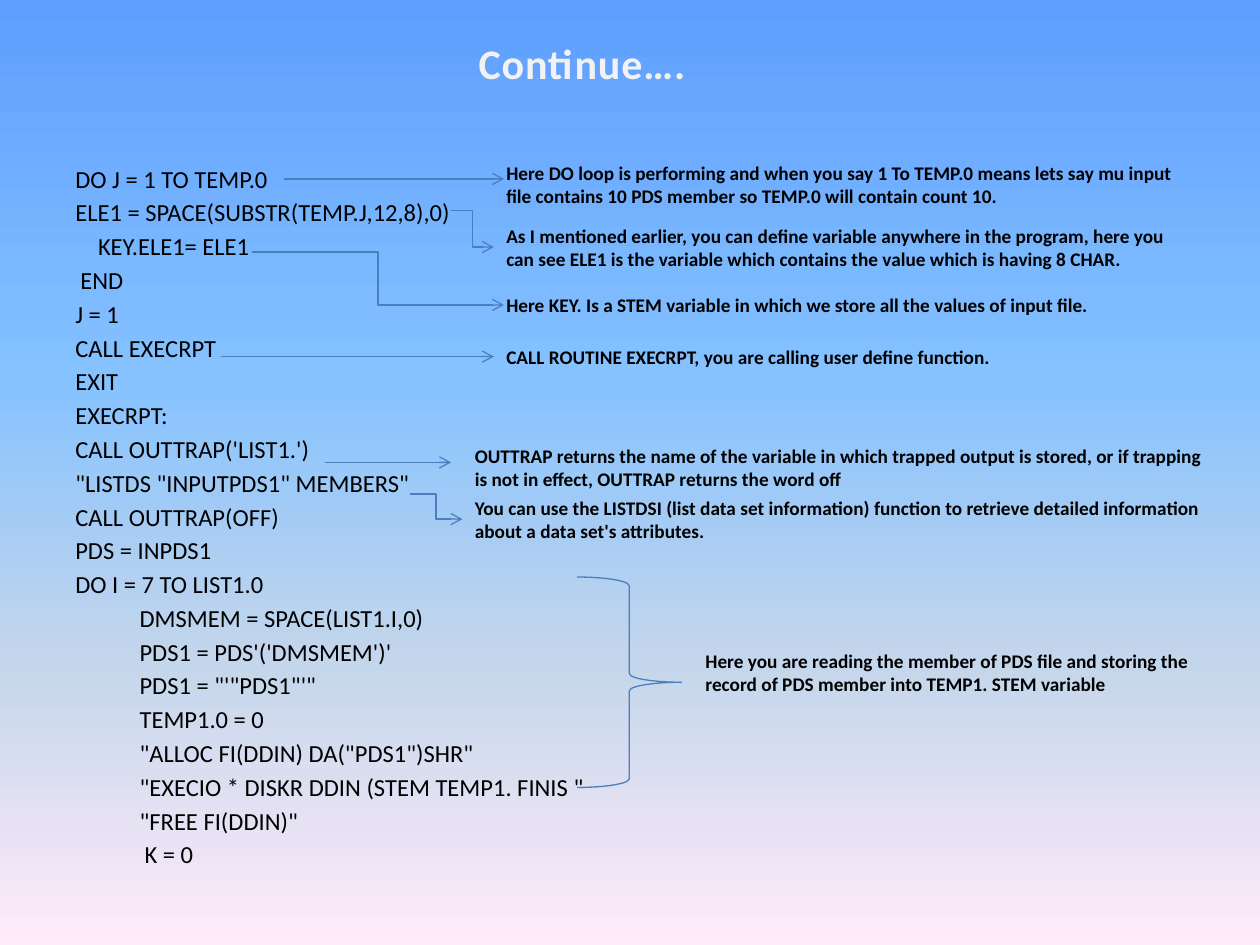
from lxml import etree
from pptx import Presentation
from pptx.dml.color import RGBColor
from pptx.enum.shapes import MSO_CONNECTOR, MSO_SHAPE
from pptx.enum.text import MSO_ANCHOR, PP_ALIGN
from pptx.oxml.ns import qn
from pptx.util import Inches, Pt

STRAIGHT, ELBOW = MSO_CONNECTOR.STRAIGHT, MSO_CONNECTOR.ELBOW
RIGHT_BRACE = MSO_SHAPE.RIGHT_BRACE
TOP, MIDDLE = MSO_ANCHOR.TOP, MSO_ANCHOR.MIDDLE
LEFT, CENTER = PP_ALIGN.LEFT, PP_ALIGN.CENTER

FONT = "Calibri"
BLACK = RGBColor(0x00, 0x00, 0x00)
TITLE_COLOR = RGBColor(0xF2, 0xF2, 0xF2)
LINE_COLOR = RGBColor(0x4B, 0x7E, 0xBC)
BACKGROUND_STOPS = [
    (0, RGBColor(0x5E, 0x9E, 0xFF)),
    (40, RGBColor(0x85, 0xC2, 0xFF)),
    (70, RGBColor(0xC4, 0xD6, 0xEB)),
    (100, RGBColor(0xFF, 0xEB, 0xFA)),
]

# Code lines with their left indent in inches
BODY_INDENT = 0.51
CODE = [
    ("DO J = 1 TO TEMP.0", 0),
    ("ELE1 = SPACE(SUBSTR(TEMP.J,12,8),0)", 0),
    ("KEY.ELE1= ELE1", 0.18),
    ("END", 0.04),
    ("J = 1", 0),
    ("CALL EXECRPT", 0),
    ("EXIT", 0),
    ("EXECRPT:", 0),
    ("CALL OUTTRAP('LIST1.')", 0),
    ('"LISTDS "INPUTPDS1" MEMBERS"', 0),
    ("CALL OUTTRAP(OFF)", 0),
    ("PDS = INPDS1", 0),
    ("DO I = 7 TO LIST1.0", 0),
    ("DMSMEM = SPACE(LIST1.I,0)", BODY_INDENT),
    ("PDS1 = PDS'('DMSMEM')'", BODY_INDENT),
    ("PDS1 = \"'\"PDS1\"'\"", BODY_INDENT),
    ("TEMP1.0 = 0", BODY_INDENT),
    ('"ALLOC FI(DDIN) DA("PDS1")SHR"', BODY_INDENT),
    ('"EXECIO * DISKR DDIN (STEM TEMP1. FINIS "', BODY_INDENT),
    ('"FREE FI(DDIN)"', BODY_INDENT),
    ("K = 0", BODY_INDENT + 0.04),
]

# Explanations: left, top, width, height, paragraphs
NOTES = [
    (3.92, 1.17, 5.67, 0.58, [
        "Here DO loop is performing and when you say 1 To TEMP.0 means lets say "
        "mu input file contains 10 PDS member so TEMP.0 will contain count 10."]),
    (3.92, 1.67, 5.67, 0.58, [
        "As I mentioned earlier, you can define variable anywhere in the program, "
        "here you can see ELE1 is the variable which contains the value which is "
        "having 8 CHAR."]),
    (3.92, 2.17, 5.67, 0.5, [
        "Here KEY. Is a STEM variable in which we store all the values of input file."]),
    (3.92, 2.58, 5.67, 0.5, [
        "CALL ROUTINE EXECRPT, you are calling user define function."]),
    (3.67, 3.42, 6.25, 0.58, [
        "OUTTRAP returns the name of the variable in which trapped output is "
        "stored, or if trapping",
        "is not in effect, OUTTRAP returns the word off"]),
    (3.67, 3.83, 6.25, 0.58, [
        "You can use the LISTDSI (list data set information) function to retrieve "
        "detailed information about a data set's attributes."]),
    (5.5, 4.67, 4.08, 1.33, [
        "Here you are reading the member of PDS file and storing the record of "
        "PDS member into TEMP1. STEM variable"]),
]

# Arrows from code to explanation: kind, start x, start y, end x, end y
ARROWS = [
    (STRAIGHT, 2.25, 1.42, 4, 1.42),
    (ELBOW, 3.58, 1.67, 3.92, 1.96),
    (ELBOW, 2, 2, 4, 2.42),
    (STRAIGHT, 1.75, 2.83, 3.92, 2.83),
    (STRAIGHT, 2.58, 3.67, 3.58, 3.67),
    (ELBOW, 3.25, 3.92, 3.67, 4.12),
]


def set_background(slide):
    fill = slide.background.fill
    fill.gradient()
    fill.gradient_angle = 270
    stop_list = slide.element.find(".//" + qn("a:gsLst"))
    for stop in list(stop_list):
        stop_list.remove(stop)
    for position, color in BACKGROUND_STOPS:
        stop = etree.SubElement(stop_list, qn("a:gs"), pos=str(position * 1000))
        etree.SubElement(stop, qn("a:srgbClr"), val=str(color))


def add_text(slide, box, lines, size, color=BLACK, bold=False, anchor=TOP,
             align=LEFT, space_before=0, spacing=0):
    """Add a text box; lines are pairs of text and left indent."""
    shape = slide.shapes.add_textbox(*map(Inches, box))
    frame = shape.text_frame
    frame.word_wrap = True
    frame.vertical_anchor = anchor
    for index, (text, indent) in enumerate(lines):
        paragraph = frame.add_paragraph() if index else frame.paragraphs[0]
        paragraph.alignment = align
        paragraph.space_before = Pt(space_before)
        if indent:
            paragraph._p.get_or_add_pPr().set("marL", str(Inches(indent)))
        run = paragraph.add_run()
        run.text = text
        run.font.name = FONT
        run.font.size = Pt(size)
        run.font.bold = bold
        run.font.color.rgb = color
        if spacing:
            run.font._element.set("spc", str(int(spacing * 100)))


def style_line(line):
    line.color.rgb = LINE_COLOR
    line.width = Pt(0.75)


def add_arrow(slide, kind, *ends):
    connector = slide.shapes.add_connector(kind, *map(Inches, ends))
    style_line(connector.line)
    etree.SubElement(connector.line._get_or_add_ln(), qn("a:tailEnd"), type="arrow")
    etree.SubElement(connector._element.spPr, qn("a:effectLst"))


def add_brace(slide, *box):
    brace = slide.shapes.add_shape(RIGHT_BRACE, *map(Inches, box))
    brace.shadow.inherit = False
    brace.fill.background()
    style_line(brace.line)


def main():
    presentation = Presentation()
    presentation.slide_width = Inches(10)
    presentation.slide_height = Inches(7.5)
    slide = presentation.slides.add_slide(presentation.slide_layouts[6])
    set_background(slide)

    # Code listing and title
    add_text(slide, (0.5, 1.25, 9, 5.45), CODE, 14, space_before=2.5)
    add_text(slide, (2.08, 0.25, 5.08, 0.5), [("Continue….", 0)], 24,
             TITLE_COLOR, bold=True, align=CENTER, spacing=0.5)

    # Explanations and the marks that lead to them
    for *box, texts in NOTES:
        add_text(slide, box, [(text, 0) for text in texts], 11,
                 bold=True, anchor=MIDDLE)
    for arrow in ARROWS:
        add_arrow(slide, *arrow)
    add_brace(slide, 4.58, 4.58, 0.83, 1.67)

    presentation.save("out.pptx")


main()
